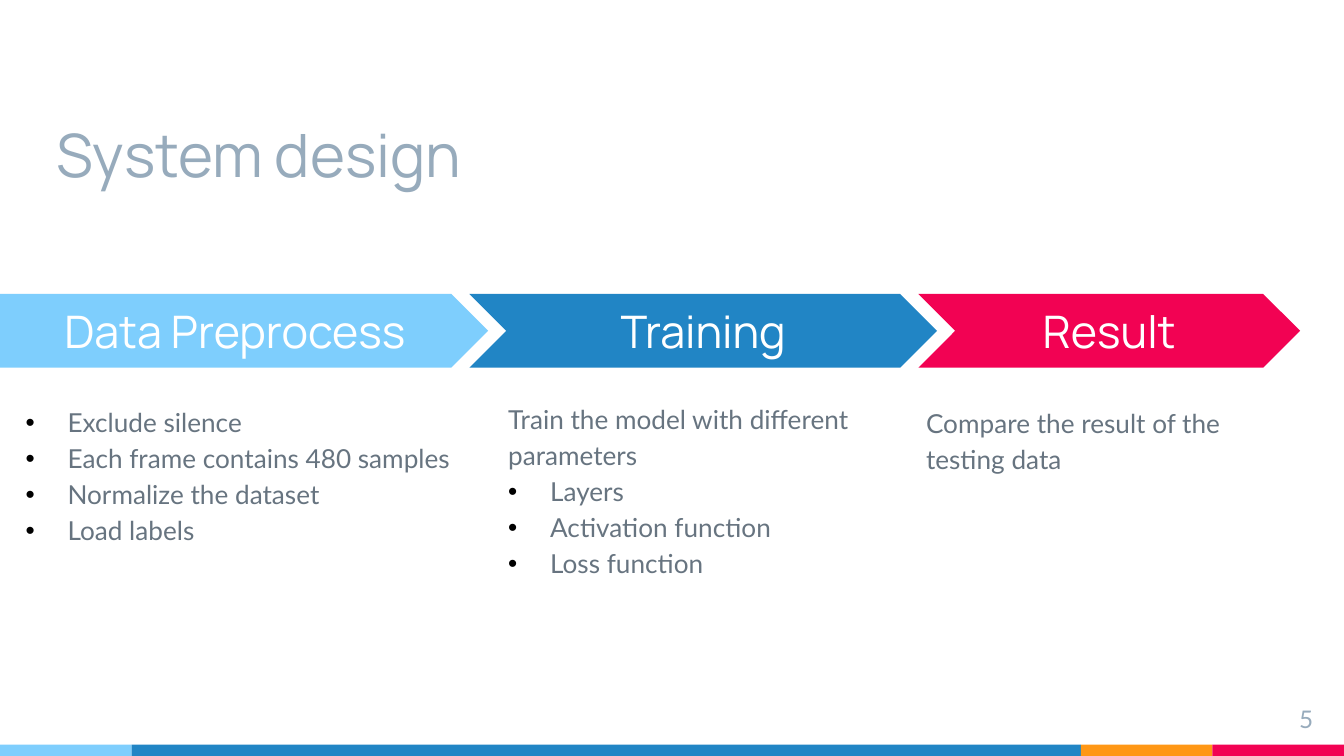
from lxml import etree
from pptx import Presentation
from pptx.dml.color import RGBColor
from pptx.enum import shapes, text
from pptx.oxml.ns import qn
from pptx.util import Pt

HEX = {"sky": "7ECEFD", "blue": "2185C5", "orange": "FF9715", "red": "F20253",
       "title": "97ABBC", "body": "677480", "white": "FFFFFF", "dot": "000000"}
WIDE, HIGH = 720, 405
BAR = 6
INSET = 7.2
HANG = 22.5
ROW = (157.5, 39.5)  # top and height of the arrows

TITLE = "System design"
PAGE = "5"
STRIPE = [("sky", 70.5), ("blue", 508.5), ("orange", 70.5), ("red", 70.5)]
# Lines that start with "• " become bullets.
STAGES = [
    {"name": "Data Preprocess", "color": "sky", "kind": "PENTAGON",
     "left": 0, "width": 261.5, "box": (6.5, 208, 250.5, 140),
     "lines": ["• Exclude silence", "• Each frame contains 480 samples",
               "• Normalize the dataset", "• Load labels"]},
    {"name": "Training", "color": "blue", "kind": "CHEVRON",
     "left": 251.5, "width": 250.5, "box": (265, 206.5, 197.5, 165),
     "lines": ["Train the model with different parameters",
               "• Layers", "• Activation function", "• Loss function"]},
    {"name": "Result", "color": "red", "kind": "CHEVRON",
     "left": 492, "width": 204.5, "box": (489, 208.5, 192, 155),
     "lines": ["Compare the result of the testing data"]},
]


def rgb(name):
    return RGBColor.from_string(HEX[name])


def mark(para, dot):
    """Give a paragraph a hanging bullet, or clear the inherited one."""
    props = para._p.get_or_add_pPr()
    props.set("marL", str(Pt(HANG) if dot else 0))
    props.set("indent", str(-Pt(HANG) if dot else 0))
    if not dot:
        etree.SubElement(props, qn("a:buNone"))
        return
    tint = etree.SubElement(props, qn("a:buClr"))
    etree.SubElement(tint, qn("a:srgbClr"), val=HEX["dot"])
    etree.SubElement(props, qn("a:buFont"), typeface="Arial")
    etree.SubElement(props, qn("a:buChar"), char="•")


def write(shape, lines, size=14, font="Lato", color="body",
          align="LEFT", anchor="TOP", space=1.0):
    frame = shape.text_frame
    frame.word_wrap = True
    frame.auto_size = text.MSO_AUTO_SIZE.NONE
    frame.vertical_anchor = text.MSO_ANCHOR[anchor]
    frame.margin_left = frame.margin_right = Pt(INSET)
    frame.margin_top = frame.margin_bottom = Pt(INSET)
    for i, line in enumerate(lines):
        para = frame.add_paragraph() if i else frame.paragraphs[0]
        para.alignment = text.PP_ALIGN[align]
        para.line_spacing = space
        para.space_before = Pt(0)
        mark(para, line.startswith("• "))
        run = para.add_run()
        run.text = line.removeprefix("• ")
        run.font.size, run.font.name = Pt(size), font
        run.font.color.rgb = rgb(color)


def place(shape, left, top, width, height):
    shape.left, shape.top = Pt(left), Pt(top)
    shape.width, shape.height = Pt(width), Pt(height)
    return shape


def block(slide, kind, color, *box):
    shape = slide.shapes.add_shape(shapes.MSO_SHAPE[kind], *map(Pt, box))
    shape.shadow.inherit = False
    shape.fill.solid()
    shape.fill.fore_color.rgb = rgb(color)
    shape.line.fill.background()
    return shape


def main():
    deck = Presentation()
    deck.slide_width, deck.slide_height = Pt(WIDE), Pt(HIGH)
    slide = deck.slides.add_slide(deck.slide_layouts.get_by_name("Two Content"))

    left = 0
    for color, width in STRIPE:
        block(slide, "RECTANGLE", color, left, HIGH - BAR, width, BAR)
        left += width

    title = place(slide.shapes.title, 23, 41, 509, 67.5)
    write(title, [TITLE], size=32, font="Manrope", color="title", anchor="BOTTOM")

    bodies = [p for p in slide.placeholders if p.placeholder_format.idx in (1, 2)]
    for stage in STAGES:
        arrow = block(slide, stage["kind"], stage["color"],
                      stage["left"], ROW[0], stage["width"], ROW[1])
        write(arrow, [stage["name"]], size=24, font="Manrope", color="white",
              align="CENTER", anchor="MIDDLE")
        if bodies:
            body = place(bodies.pop(0), *stage["box"])
        else:
            body = slide.shapes.add_textbox(*map(Pt, stage["box"]))
        write(body, stage["lines"], space=1.15)

    page = slide.shapes.add_textbox(Pt(667.5), Pt(370), Pt(43), Pt(24.5))
    write(page, [PAGE], size=13, color="title", align="RIGHT")
    deck.save("out.pptx")


if __name__ == "__main__":
    main()
